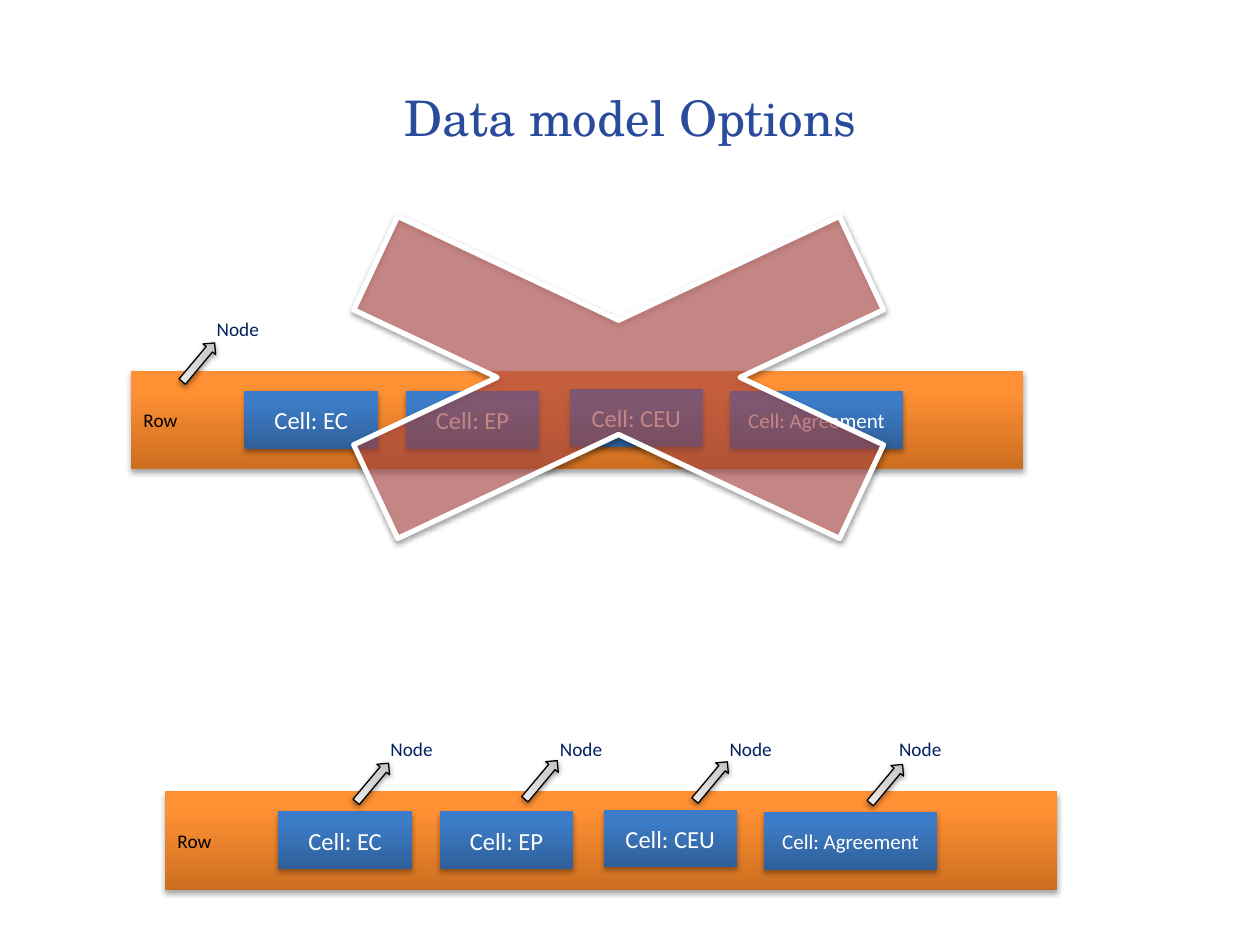
from pptx import Presentation
from pptx.dml.color import RGBColor
from pptx.enum.shapes import MSO_SHAPE
from pptx.enum.text import MSO_ANCHOR, MSO_AUTO_SIZE, PP_ALIGN
from pptx.oxml import parse_xml
from pptx.oxml.ns import nsdecls, qn
from pptx.oxml.xmlchemy import OxmlElement
from pptx.util import Pt

HEX = {"title": "294B9B", "text": "000000", "cell": "FFFFFF", "node": "002060",
       "cross": "C0504D", "rim": "FFFFFF", "edge": "000000"}
# Gradient stops (percent, colour) and the angle in degrees
GRADS = {
    "row": ([(0, "CC6E20"), (80, "FF9034"), (100, "FF9136")], 270),
    "cell": ([(0, "2F5F99"), (80, "3D7CC7"), (100, "3A7CCB")], 270),
    "arrow": ([(0, "EDEDED"), (65, "D0D0D0"), (100, "BCBCBC")], 90),
}
# Shadow opacity in percent, and distance in points
SOFT, FIRM = (35, 1.8), (38, 1.6)

# Cells: label, offset from the row's left and top, width, text size
CELLS = [("Cell: EC", 64.8, 11.5, 76.3, 14), ("Cell: EP", 157, 11.5, 76.3, 14),
         ("Cell: CEU", 250.6, 10.4, 76.3, 14), ("Cell: Agreement", 342, 11.7, 99.4, 12)]


def color(name):
    return RGBColor.from_string(HEX[name])


def write(shape, text, size, tint, align=PP_ALIGN.LEFT, font="Calibri", **frame):
    style = {"word_wrap": True, "vertical_anchor": MSO_ANCHOR.MIDDLE, **frame}
    for key, value in style.items():
        setattr(shape.text_frame, key, value)
    para = shape.text_frame.paragraphs[0]
    para.alignment = align
    run = para.add_run()
    run.text = text
    for key, value in {"name": font, "size": Pt(size)}.items():
        setattr(run.font, key, value)
    run.font.color.rgb = color(tint)


def add_form(slide, kind, box, shade, edge=None, width=0):
    shape = slide.shapes.add_shape(kind, *map(Pt, box))
    if edge:
        shape.line.color.rgb = color(edge)
        shape.line.width = Pt(width)
    else:
        shape.line.fill.background()
    # Shadow straight below the shape
    shape.shadow.inherit = False
    alpha, dist = shade
    effects = shape._element.spPr.find(qn("a:effectLst"))
    effects.append(parse_xml(
        f'<a:outerShdw {nsdecls("a")} blurRad="{Pt(3.1)}" dist="{Pt(dist)}" dir="5400000" '
        f'rotWithShape="0"><a:srgbClr val="000000"><a:alpha val="{alpha * 1000}"/>'
        '</a:srgbClr></a:outerShdw>'))
    return shape


def blend(shape, name):
    stops, angle = GRADS[name]
    marks = "".join(f'<a:gs pos="{pos * 1000}"><a:srgbClr val="{tint}"/></a:gs>'
                    for pos, tint in stops)
    shape._element.spPr.find(qn("a:prstGeom")).addnext(parse_xml(
        f'<a:gradFill {nsdecls("a")} rotWithShape="1"><a:gsLst>{marks}</a:gsLst>'
        f'<a:lin ang="{angle * 60000}" scaled="0"/></a:gradFill>'))


def add_title(slide, box):
    title = slide.shapes.add_textbox(*map(Pt, box))
    write(title, "Data model Options", 28, "title", PP_ALIGN.CENTER, "TeX Gyre Schola")


def add_row(slide, box, arrows, labels):
    left, top, _, _ = box
    # Row bar
    bar = add_form(slide, MSO_SHAPE.RECTANGLE, box, SOFT)
    blend(bar, "row")
    write(bar, "Row", 11, "text")
    # Cells
    for text, dx, dy, width, size in CELLS:
        cell = add_form(slide, MSO_SHAPE.RECTANGLE, (left + dx, top + dy, width, 33.1), SOFT)
        blend(cell, "cell")
        write(cell, text, size, "cell", PP_ALIGN.CENTER)
    # Arrows up to the node labels
    for dx, dy in arrows:
        arrow = add_form(slide, MSO_SHAPE.DOWN_ARROW, (left + dx, top + dy, 9.4, 28.8),
                         FIRM, "edge", 0.75)
        arrow.rotation = 219.9
        blend(arrow, "arrow")
    # Node labels
    for dx in labels:
        label = slide.shapes.add_textbox(*map(Pt, (left + dx, top - 34.5, 38.9, 20.6)))
        write(label, "Node", 11, "node", word_wrap=False,
              vertical_anchor=MSO_ANCHOR.TOP, auto_size=MSO_AUTO_SIZE.SHAPE_TO_FIT_TEXT)


def add_cross(slide, box):
    cross = add_form(slide, MSO_SHAPE.MATH_MULTIPLY, box, FIRM, "rim", 3)
    cross.fill.solid()
    cross.fill.fore_color.rgb = color("cross")
    alpha = OxmlElement("a:alpha")
    alpha.set("val", "55000")
    cross._element.spPr.find(qn("a:solidFill"))[0].append(alpha)


def main():
    deck = Presentation()
    deck.slide_width, deck.slide_height = Pt(720), Pt(540)
    slide = deck.slides.add_slide(deck.slide_layouts[6])
    add_title(slide, (36, 21.6, 648, 90))
    # One node per cell
    add_row(slide, (94.3, 452.2, 509.8, 56.2),
            [(113.8, -19.4), (210.2, -20.9), (307.4, -20.2), (407.5, -18.7)],
            [121.7 + 96.9 * i for i in range(4)])
    # One node per row, crossed out
    add_row(slide, (74.9, 212, 509.8, 56.2), [(33.8, -19.4)], [41.8])
    add_cross(slide, (86.4, 90, 534.2, 251.3))
    deck.save("out.pptx")


if __name__ == "__main__":
    main()
